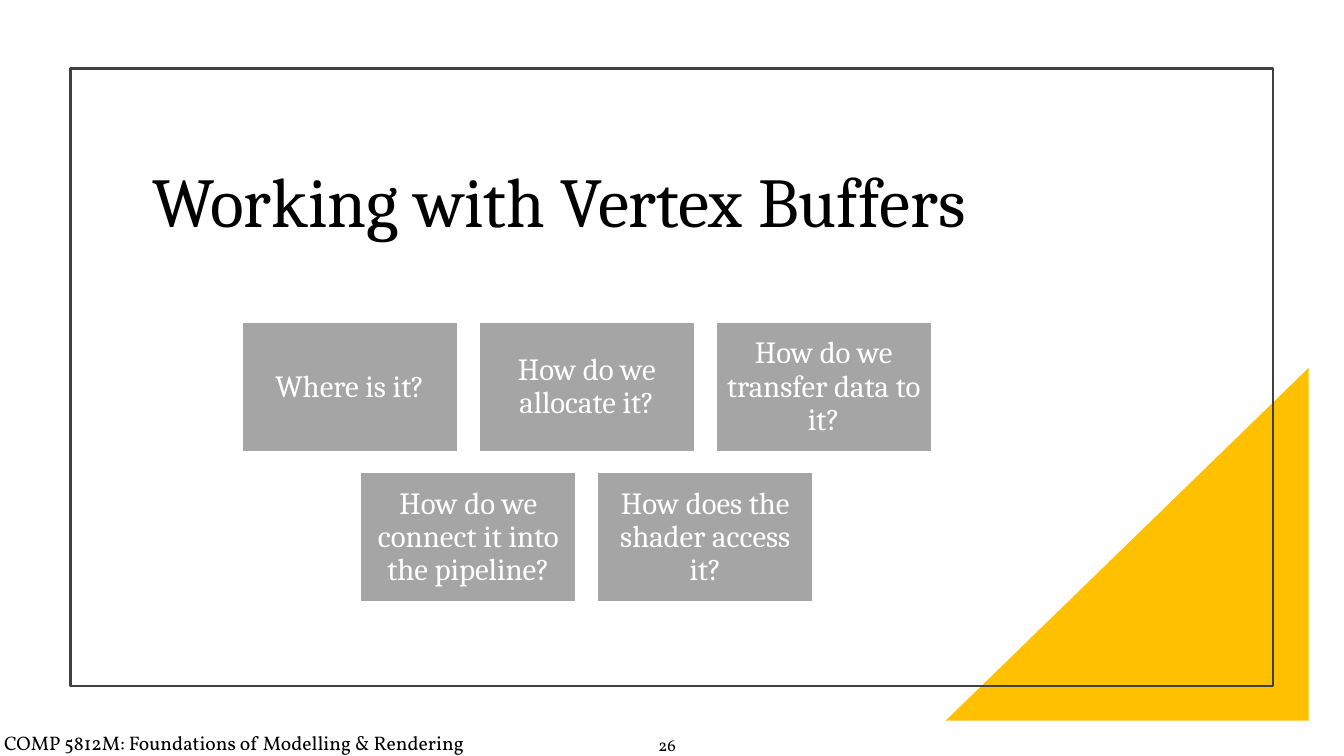
"""Build the slide of questions on working with vertex buffers."""
from pptx import Presentation
from pptx.dml.color import RGBColor
from pptx.enum.shapes import MSO_SHAPE as Shape
from pptx.enum.text import MSO_ANCHOR as Anchor, MSO_AUTO_SIZE as AutoSize, PP_ALIGN as Align
from pptx.util import Inches, Pt

TITLE = "Working with Vertex Buffers"
QUESTION_ROWS = [
    ["Where is it?", "How do we allocate it?", "How do we transfer data to it?"],
    ["How do we connect it into the pipeline?", "How does the shader access it?"],
]
COURSE = "COMP 5812M: Foundations of Modelling & Rendering"
PAGE = "26"

BLACK = RGBColor(0x00, 0x00, 0x00)
WHITE = RGBColor(0xFF, 0xFF, 0xFF)
GREY = RGBColor(0xA5, 0xA5, 0xA5)
CHARCOAL = RGBColor(0x40, 0x40, 0x40)
AMBER = RGBColor(0xFF, 0xC0, 0x00)

CARD_WIDTH, CARD_HEIGHT = 2.14, 1.28
GAP = 0.21
CARDS_CENTRE, CARDS_TOP = 5.82, 3.2

TITLE_FORMAT = {"name": "Cambria", "size": Pt(50)}
QUESTION_FORMAT = {"name": "Cambria", "size": Pt(22)}
COURSE_FORMAT = {"name": "Vollkorn", "size": Pt(14)}
PAGE_FORMAT = {"name": "Vollkorn", "size": Pt(12)}


def write(holder, wording, font_format, colour, align, anchor, spacing, inset=None, wrap=True):
    """Put one formatted paragraph into a shape."""
    frame = holder.text_frame
    frame.text = wording
    frame_format = {"word_wrap": wrap, "auto_size": AutoSize.NONE, "vertical_anchor": anchor}
    if inset is not None:
        for side in ("left", "top", "right", "bottom"):
            frame_format[f"margin_{side}"] = Inches(inset)
    for key, value in frame_format.items():
        setattr(frame, key, value)
    paragraph = frame.paragraphs[0]
    paragraph.alignment = align
    paragraph.line_spacing = spacing
    for key, value in font_format.items():
        setattr(paragraph.font, key, value)
    paragraph.font.color.rgb = colour


def add_block(slide, preset, box, fill=None, line=None, weight=1):
    """Add a flat preset shape."""
    block = slide.shapes.add_shape(preset, *map(Inches, box))
    block.shadow.inherit = False
    if fill is None:
        block.fill.background()
    else:
        block.fill.solid()
        block.fill.fore_color.rgb = fill
    if line is None:
        block.line.fill.background()
    else:
        block.line.color.rgb = line
        block.line.width = Pt(weight)
    return block


def add_questions(slide):
    """Lay out the question cards in centred rows."""
    for row, questions in enumerate(QUESTION_ROWS):
        row_width = len(questions) * (CARD_WIDTH + GAP) - GAP
        top = CARDS_TOP + row * (CARD_HEIGHT + GAP)
        for column, question in enumerate(questions):
            left = CARDS_CENTRE - row_width / 2 + column * (CARD_WIDTH + GAP)
            card = add_block(slide, Shape.RECTANGLE, (left, top, CARD_WIDTH, CARD_HEIGHT), GREY, WHITE)
            write(card, question, QUESTION_FORMAT, WHITE, Align.CENTER, Anchor.MIDDLE, 0.9, 0.09)


def main():
    """Assemble and save the slide."""
    deck = Presentation()
    deck.slide_width, deck.slide_height = Inches(13.33), Inches(7.5)
    slide = deck.slides.add_slide(deck.slide_layouts[5])

    course = slide.shapes.add_textbox(*map(Inches, (-0.02, 7.13, 6.31, 0.39)))
    write(course, COURSE, COURSE_FORMAT, BLACK, Align.LEFT, Anchor.TOP, Pt(21), 0.06)
    page = slide.shapes.add_textbox(*map(Inches, (6.49, 7.19, 0.35, 0.33)))
    write(page, PAGE, PAGE_FORMAT, BLACK, Align.LEFT, Anchor.MIDDLE, Pt(19), 0.04, wrap=False)

    corner = add_block(slide, Shape.RIGHT_TRIANGLE, (9.38, 3.65, 3.6, 3.5), AMBER)
    corner._element.spPr.xfrm.set("flipH", "1")
    add_block(slide, Shape.RECTANGLE, (0.7, 0.68, 11.93, 6.13), line=CHARCOAL, weight=1.5)

    title = slide.shapes.title
    title.left, title.top, title.width, title.height = map(Inches, (1.41, 1.15, 8.83, 1.77))
    write(title, TITLE, TITLE_FORMAT, BLACK, Align.LEFT, Anchor.MIDDLE, 0.9)
    add_questions(slide)

    deck.save("out.pptx")


if __name__ == "__main__":
    main()
